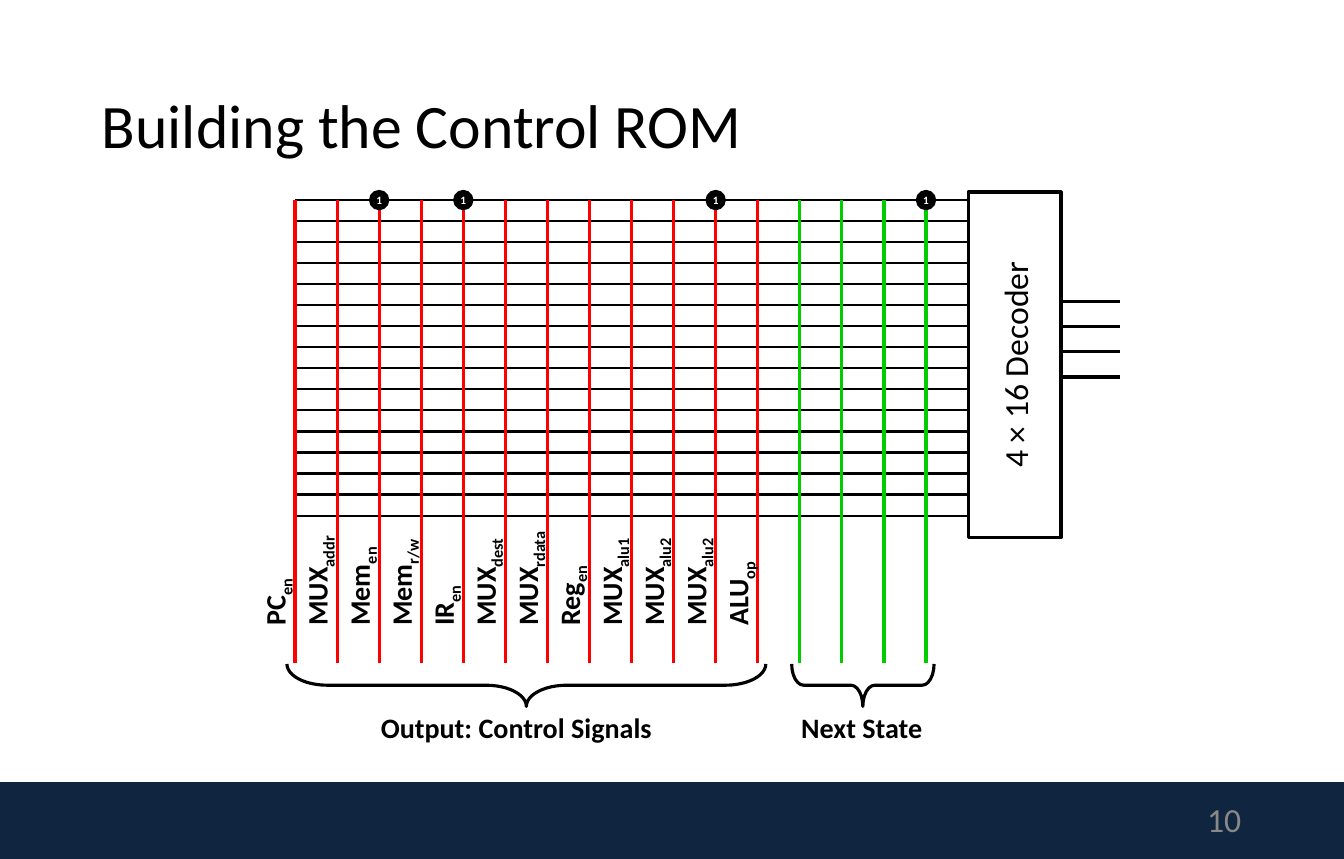
from dataclasses import dataclass

from lxml.etree import SubElement
from pptx import Presentation
from pptx.dml.color import RGBColor
from pptx.enum.shapes import MSO_CONNECTOR, MSO_SHAPE
from pptx.enum.text import MSO_ANCHOR as ANCHOR, PP_ALIGN as ALIGN
from pptx.oxml.ns import qn
from pptx.util import Inches, Pt


@dataclass(frozen=True)
class Theme:
    font: str = "Calibri"
    ink: str = "000000"
    paper: str = "FFFFFF"
    band: str = "10253F"
    muted: str = "888888"
    control: str = "FF0000"
    state: str = "00CC00"
    title: float = 44
    body: float = 24
    label: float = 20
    mark: float = 8
    thin: float = 1.5
    thick: float = 2.25


T = Theme()
SLIDE_W, SLIDE_H = 13.3, 8.5
ROWS = 16
STATE_BITS = 4
# Control signal: name, subscript, label length
SIGNALS = [
    ("PC", "en", 0.7), ("MUX", "addr", 1.17), ("Mem", "en", 1.01),
    ("Mem", "r/w", 1.1), ("IR", "en", 0.64), ("MUX", "dest", 1.11),
    ("MUX", "rdata", 1.22), ("Reg", "en", 0.85), ("MUX", "alu1", 1.13),
    ("MUX", "alu2", 1.13), ("MUX", "alu2", 1.13), ("ALU", "op", 0.98),
]
COLUMNS = len(SIGNALS) + STATE_BITS
FIRST_ROW_ONES = [2, 4, 10, 15]


def rgb(color):
    return RGBColor.from_string(color)


def upright(x, y, w, h):
    """Unrotated box that covers x, y, w, h after a quarter turn."""
    return x + (w - h) / 2, y + (h - w) / 2, h, w


def write(sp, text, size, color=T.ink, bold=False, align=ALIGN.LEFT,
          anchor=ANCHOR.TOP, subscript=None):
    tf = sp.text_frame
    tf.word_wrap = True
    tf.vertical_anchor = anchor
    p = tf.paragraphs[0]
    p.text = text
    p.alignment = align
    if subscript:
        r = p.add_run()
        r.text = subscript
        r.font._element.set("baseline", "-25000")
    for r in p.runs:
        r.font.name = T.font
        r.font.size = Pt(size)
        r.font.bold = bold
        r.font.color.rgb = rgb(color)
    return p


def add_text(slide, box, text, size, turned=False, **style):
    if turned:
        box = upright(*box)
    sp = slide.shapes.add_textbox(*map(Inches, box))
    sp.rotation = 270 if turned else 0
    return write(sp, text, size, **style)


def add_shape(slide, kind, box, fill=None, line=T.ink, turned=False):
    if turned:
        box = upright(*box)
    sp = slide.shapes.add_shape(kind, *map(Inches, box))
    sp.rotation = 270 if turned else 0
    sp.shadow.inherit = False
    if fill:
        sp.fill.solid()
        sp.fill.fore_color.rgb = rgb(fill)
    else:
        sp.fill.background()
    if line:
        sp.line.color.rgb = rgb(line)
        sp.line.width = Pt(T.thick)
    else:
        sp.line.fill.background()
    return sp


def add_line(slide, x1, y1, x2, y2, color, width):
    line = slide.shapes.add_connector(
        MSO_CONNECTOR.STRAIGHT, *map(Inches, (x1, y1, x2, y2)))
    line.line.color.rgb = rgb(color)
    line.line.width = Pt(width)
    SubElement(line._element.spPr, qn("a:effectLst"))


def add_footer(slide, x, y, w, h):
    add_shape(slide, MSO_SHAPE.RECTANGLE, (x, y, w, h), T.band, None)
    add_text(slide, (x + w - 3.91, y + 0.14, 2.99, 0.45), "10", T.body,
             color=T.muted, align=ALIGN.RIGHT, anchor=ANCHOR.MIDDLE)


def add_title(slide, x, y, w, h):
    p = add_text(slide, (x, y, w, h), "Building the Control ROM", T.title,
                 anchor=ANCHOR.MIDDLE)
    p.line_spacing = 0.9


def add_decoder(slide, x, y, w, h):
    sp = add_shape(slide, MSO_SHAPE.RECTANGLE, (x, y, w, h), turned=True)
    write(sp, "4 × 16 Decoder", T.body, align=ALIGN.CENTER,
          anchor=ANCHOR.MIDDLE)
    # Current state inputs
    for bit in range(STATE_BITS):
        wire = y + 1.08 + bit * 0.25
        add_line(slide, x + w, wire, x + w + 0.58, wire, T.ink, T.thick)


def add_rom(slide, x, y, w, h):
    column_gap = w / COLUMNS
    row_gap = column_gap / 2
    columns = [x + i * column_gap for i in range(COLUMNS)]
    n = len(SIGNALS)

    # Word lines
    for row in range(ROWS):
        wire = y + row * row_gap
        add_line(slide, x + w, wire, x, wire, T.ink, T.thin)

    # Output lines
    for i, cx in enumerate(columns):
        color = T.control if i < n else T.state
        add_line(slide, cx, y, cx, y + h, color, T.thick)

    # Signal names, left of their lines
    for cx, (name, sub, length) in zip(columns, SIGNALS):
        add_text(slide, (cx - 0.42, y + h - 0.27 - length, 0.44, length),
                 name, T.label, turned=True, bold=True, subscript=sub)

    # Braces and captions under each group
    groups = [(columns[:n], 0.95, "Output: Control Signals", 3.67, 2.95),
              (columns[n:], 0.28, "Next State", 7.83, 1.5)]
    for lines, curve, caption, left, width in groups:
        box = (lines[0] - 0.08, y + h + 0.01, lines[-1] - lines[0] + 0.16, 0.42)
        sp = add_shape(slide, MSO_SHAPE.LEFT_BRACE, box, turned=True)
        sp.adjustments[0] = curve
        add_text(slide, (left, y + h + 0.42, width, 0.44), caption, T.label,
                 bold=True)

    # Ones stored in the first word
    d = 0.17
    for i in FIRST_ROW_ONES:
        sp = add_shape(slide, MSO_SHAPE.OVAL,
                       (columns[i] - d / 2, y - d / 2, d, d), T.ink)
        tf = sp.text_frame
        tf.margin_left = tf.margin_right = tf.margin_top = tf.margin_bottom = 0
        write(sp, "1", T.mark, color=T.paper, bold=True, align=ALIGN.CENTER,
              anchor=ANCHOR.MIDDLE)


def main():
    prs = Presentation()
    prs.slide_width, prs.slide_height = Inches(SLIDE_W), Inches(SLIDE_H)
    slide = prs.slides.add_slide(prs.slide_layouts[6])
    add_footer(slide, 0, 7.74, SLIDE_W, 0.76)
    add_title(slide, 0.91, 0.45, 11.47, 1.64)
    add_decoder(slide, 9.58, 1.9, 0.92, 3.42)
    add_rom(slide, 2.92, 1.98, 6.66, 4.58)
    prs.save("out.pptx")


if __name__ == "__main__":
    main()
